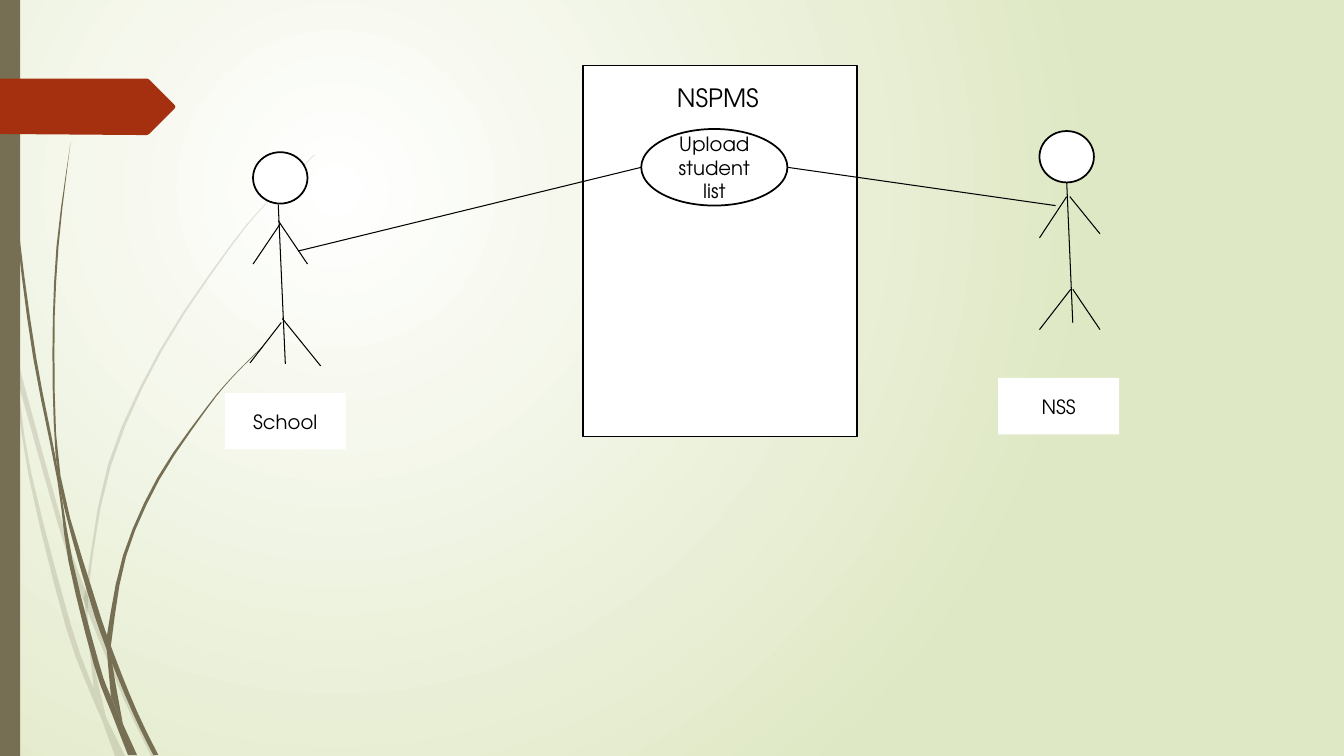
from lxml.etree import SubElement
from pptx import Presentation
from pptx.dml.color import RGBColor
from pptx.enum.shapes import MSO_CONNECTOR, MSO_SHAPE
from pptx.enum.text import MSO_ANCHOR, PP_ALIGN
from pptx.oxml.ns import qn
from pptx.util import Inches, Pt

WHITE = RGBColor(0xFF, 0xFF, 0xFF)
BLACK = RGBColor(0, 0, 0)
LIME = RGBColor(0xDF, 0xE8, 0xC4)
OLIVE = RGBColor(0x76, 0x6F, 0x54)
RUST = RGBColor(0xA5, 0x30, 0x10)

# Grass blades: each is a closed outline of two smooth edges, out and back
PALE = [
    [[(0, 2.82), (.09, 3.22), (.17, 3.76), (.31, 4.69), (.7, 6.19), (.93, 6.83),
      (1.05, 7.11), (1.24, 7.5)],
     [(1.14, 7.5), (1.01, 7.14), (.92, 6.93), (.65, 6.21), (.28, 4.7), (.11, 3.5),
      (0, 2.99)]],
    [[(.14, 3.45), (.62, 5.2), (.85, 5.86), (1.27, 6.92), (1.55, 7.5)],
     [(1.5, 7.5), (1.23, 6.94), (.84, 5.99), (.58, 5.22), (.17, 3.76)]],
    [[(3.12, 1.54), (2.68, 1.98), (2.29, 2.45), (1.6, 3.49), (1.1, 4.62), (.88, 5.84),
      (.91, 6.46), (1.05, 7.11)],
     [(.93, 6.83), (.84, 5.99), (.85, 5.84), (1.07, 4.61), (1.58, 3.48), (2.28, 2.44),
      (2.68, 1.97), (3.12, 1.53)]],
]
DARK = [
    [[(.04, 0), (.08, 1.09), (.19, 2.32), (.36, 3.55), (.55, 4.53), (.72, 5.56),
      (.98, 6.57), (1.1, 6.91), (1.36, 7.49)],
     [(1.27, 7.49), (1.11, 7.08), (.93, 6.59), (.68, 5.57), (.57, 4.77), (.33, 3.55),
      (.17, 2.33), (.07, 1.1), (.03, 0)]],
    [[(.7, 1.41), (.58, 2.45), (.54, 3.49), (.6, 4.72), (.93, 5.9), (1.13, 6.49),
      (1.36, 7.06), (1.57, 7.49)],
     [(1.52, 7.49), (1.32, 7.08), (1.06, 6.45), (.88, 5.92), (.64, 5.05), (.55, 4.49),
      (.52, 3.49), (.56, 2.45), (.7, 1.41)]],
    [[(2.61, 3.44), (2.31, 3.74), (2.05, 4.06), (1.58, 4.76), (1.25, 5.52), (1.11, 6.33),
      (1.11, 6.56), (1.22, 7.19)],
     [(1.1, 6.91), (1.06, 6.45), (1.06, 6.31), (1.22, 5.51), (1.56, 4.74), (2.04, 4.05),
      (2.31, 3.73), (2.6, 3.44)]],
]
TAG = [[(0, .78), (1.46, .78)], [(1.48, .79), (1.73, 1.04)], [(1.74, 1.06), (1.73, 1.08)],
       [(1.48, 1.33), (1.46, 1.34)], [(1.36, 1.34), (0, 1.33)]]

# Stick figures: limbs as start and end points
SCHOOL = [((2.76, 2.03), (2.83, 3.61)), ((2.78, 2.22), (2.51, 2.62)),
          ((3.05, 2.62), (2.76, 2.19)), ((3.18, 3.63), (2.8, 3.16)),
          ((2.48, 3.6), (2.79, 3.2))]
NSS = [((10.58, 1.81), (10.64, 3.2)), ((10.58, 1.95), (10.31, 2.36)),
       ((10.91, 3.27), (10.64, 2.87)), ((10.31, 3.27), (10.62, 2.87)),
       ((10.61, 1.95), (10.91, 2.32))]


def smooth(edge, steps=3):
    """Points of a Catmull-Rom curve through the edge; two points stay straight."""
    if len(edge) < 3:
        return edge
    ends = [edge[0], *edge, edge[-1]]
    curve = []
    for a, b, c, d in zip(ends, ends[1:], ends[2:], ends[3:]):
        for step in range(steps):
            t = step / steps
            curve.append(tuple(
                q + t / 2 * (r - p + t * (2 * p - 5 * q + 4 * r - s
                                          + t * (3 * (q - r) + s - p)))
                for p, q, r, s in zip(a, b, c, d)))
    return curve + [edge[-1]]


class Board:
    font = "TeX Gyre Adventor"
    thin, thick = Pt(0.75), Pt(1.25)

    def __init__(self, slide):
        self.slide = slide
        self.shapes = slide.shapes

    def glow(self, inner, outer):
        fill = self.slide.background.fill
        fill.gradient()
        for stop, color in zip(fill.gradient_stops, (inner, outer)):
            stop.color.rgb = color
        grad = self.slide.element.find(".//" + qn("a:gradFill"))
        grad.remove(grad.find(qn("a:lin")))
        way = SubElement(grad, qn("a:path"), path="circle")
        SubElement(way, qn("a:fillToRect"), l="50000", t="50000", r="100000", b="100000")

    def paint(self, shape, fill, line=None):
        shape.shadow.inherit = False
        shape.fill.solid()
        shape.fill.fore_color.rgb = fill
        if line is None:
            shape.line.fill.background()
        else:
            shape.line.color.rgb = line
            shape.line.width = self.thick

    def blade(self, edges, color, alpha=None):
        spots = [(Inches(x), Inches(y)) for edge in edges for x, y in smooth(edge)]
        pen = self.shapes.build_freeform(*spots[0])
        pen.add_line_segments(spots[1:], close=True)
        shape = pen.convert_to_shape()
        self.paint(shape, color)
        if alpha:
            tint = shape.element.spPr.find(".//" + qn("a:srgbClr"))
            SubElement(tint, qn("a:alpha"), val=str(alpha * 1000))

    def box(self, kind, x, y, w, h, fill=WHITE, line=None, text="", size=14):
        shape = self.shapes.add_shape(kind, Inches(x), Inches(y), Inches(w), Inches(h))
        self.paint(shape, fill, line)
        if text:
            frame = shape.text_frame
            frame.text = text
            frame.word_wrap = True
            frame.vertical_anchor = MSO_ANCHOR.MIDDLE
            para = frame.paragraphs[0]
            para.alignment = PP_ALIGN.CENTER
            font = para.runs[0].font
            font.name, font.size = self.font, Pt(size)
            font.color.rgb = BLACK

    def line(self, start, end):
        link = self.shapes.add_connector(
            MSO_CONNECTOR.STRAIGHT, *(Inches(v) for v in start + end))
        link.line.color.rgb = BLACK
        link.line.width = self.thin
        SubElement(link.element.spPr, qn("a:effectLst"))

    def actor(self, x, y, limbs):
        self.box(MSO_SHAPE.FLOWCHART_CONNECTOR, x, y, .54, .51, line=BLACK)
        for start, end in limbs:
            self.line(start, end)


def main():
    deck = Presentation()
    deck.slide_width, deck.slide_height = Inches(13.33), Inches(7.5)
    board = Board(deck.slides.add_slide(deck.slide_layouts[6]))

    # Backdrop
    board.glow(WHITE, LIME)
    for edges in PALE:
        board.blade(edges, OLIVE, 20)
    for edges in DARK:
        board.blade(edges, OLIVE)
    board.box(MSO_SHAPE.RECTANGLE, 0, 0, .2, 7.5, OLIVE)
    board.blade(TAG, RUST)

    # System and its use case
    board.box(MSO_SHAPE.RECTANGLE, 5.78, .65, 2.72, 3.68, line=BLACK)
    board.box(MSO_SHAPE.OVAL, 6.36, 1.28, 1.45, .76, line=BLACK, text="Upload student list")
    board.box(MSO_SHAPE.RECTANGLE, 6.39, .73, 1.46, .48, line=WHITE, text="NSPMS", size=18)

    # Actors and their links
    board.actor(2.51, 1.51, SCHOOL)
    board.box(MSO_SHAPE.RECTANGLE, 2.23, 3.9, 1.2, .56, text="School")
    board.line((2.96, 2.49), (6.36, 1.66))
    board.actor(10.31, 1.3, NSS)
    board.box(MSO_SHAPE.RECTANGLE, 9.9, 3.75, 1.2, .56, text="NSS")
    board.line((7.81, 1.66), (10.47, 2.04))

    deck.save("out.pptx")


if __name__ == "__main__":
    main()
